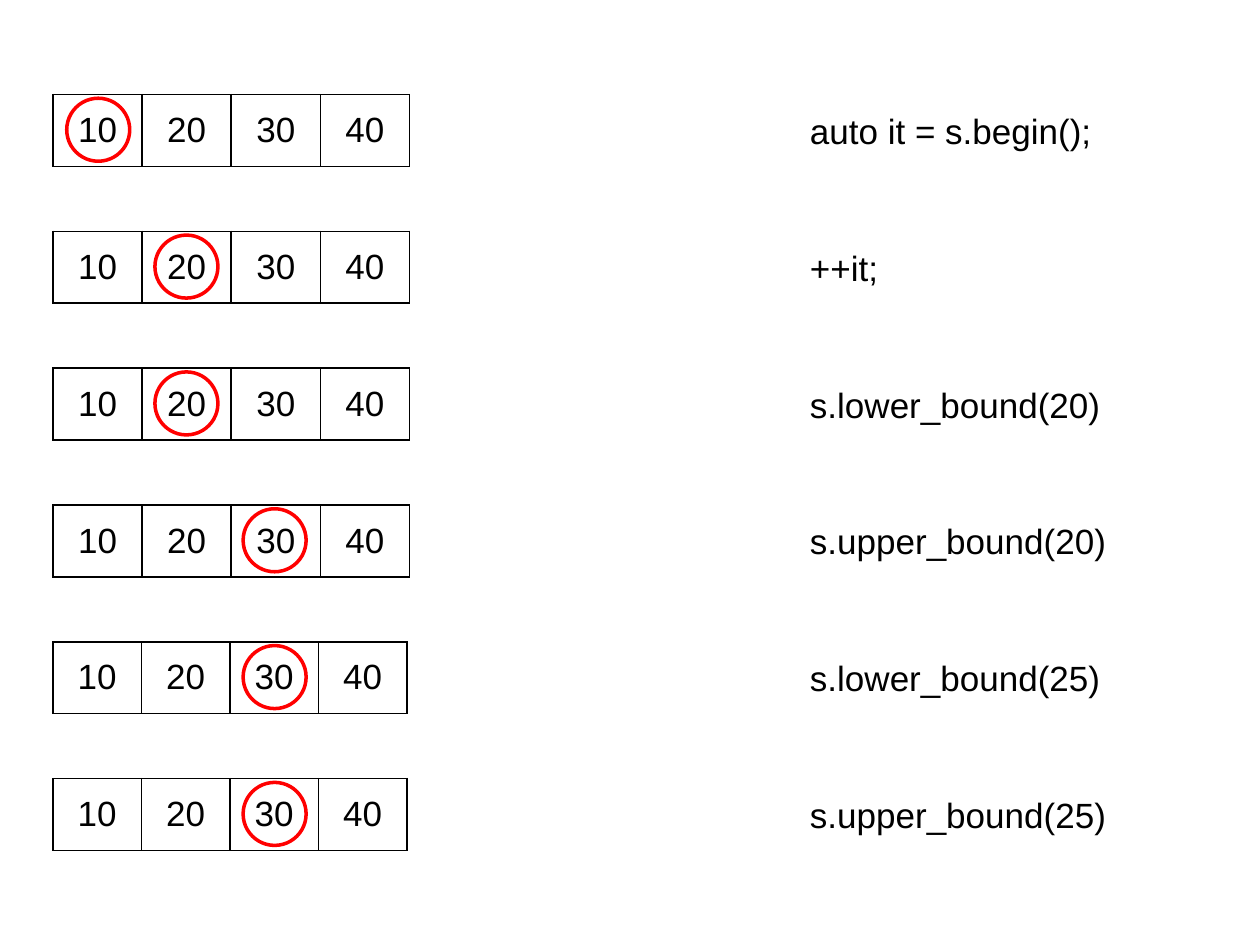
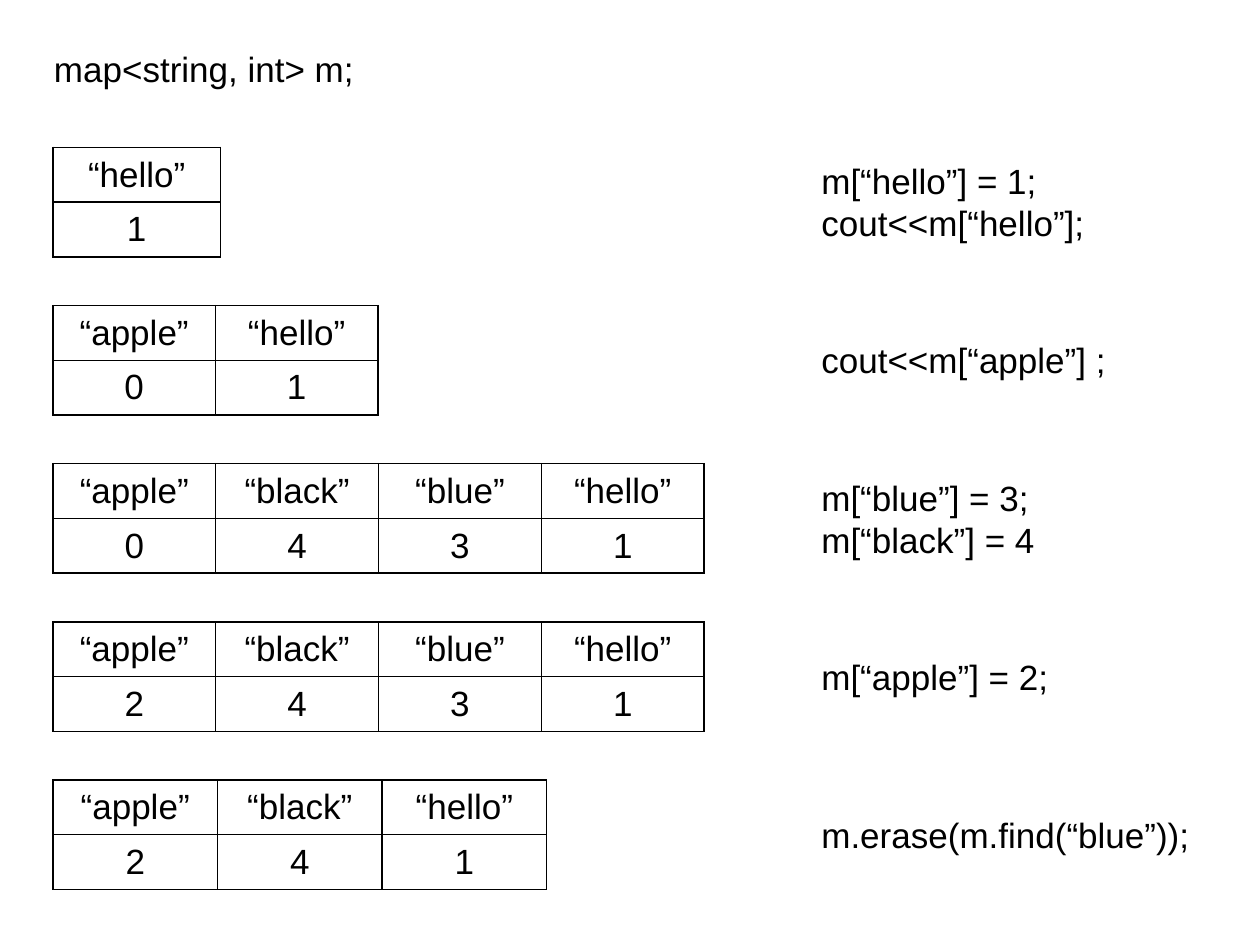
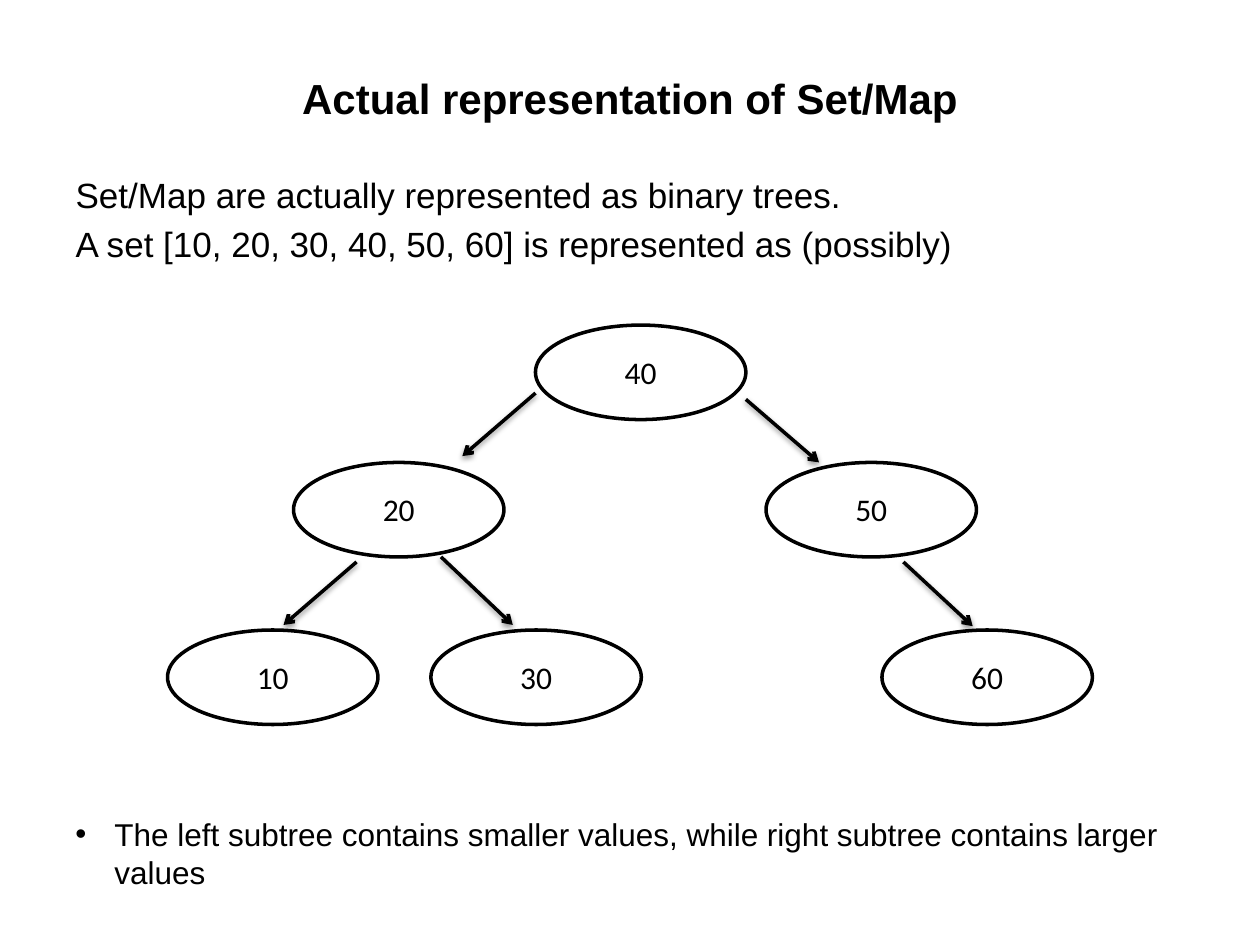
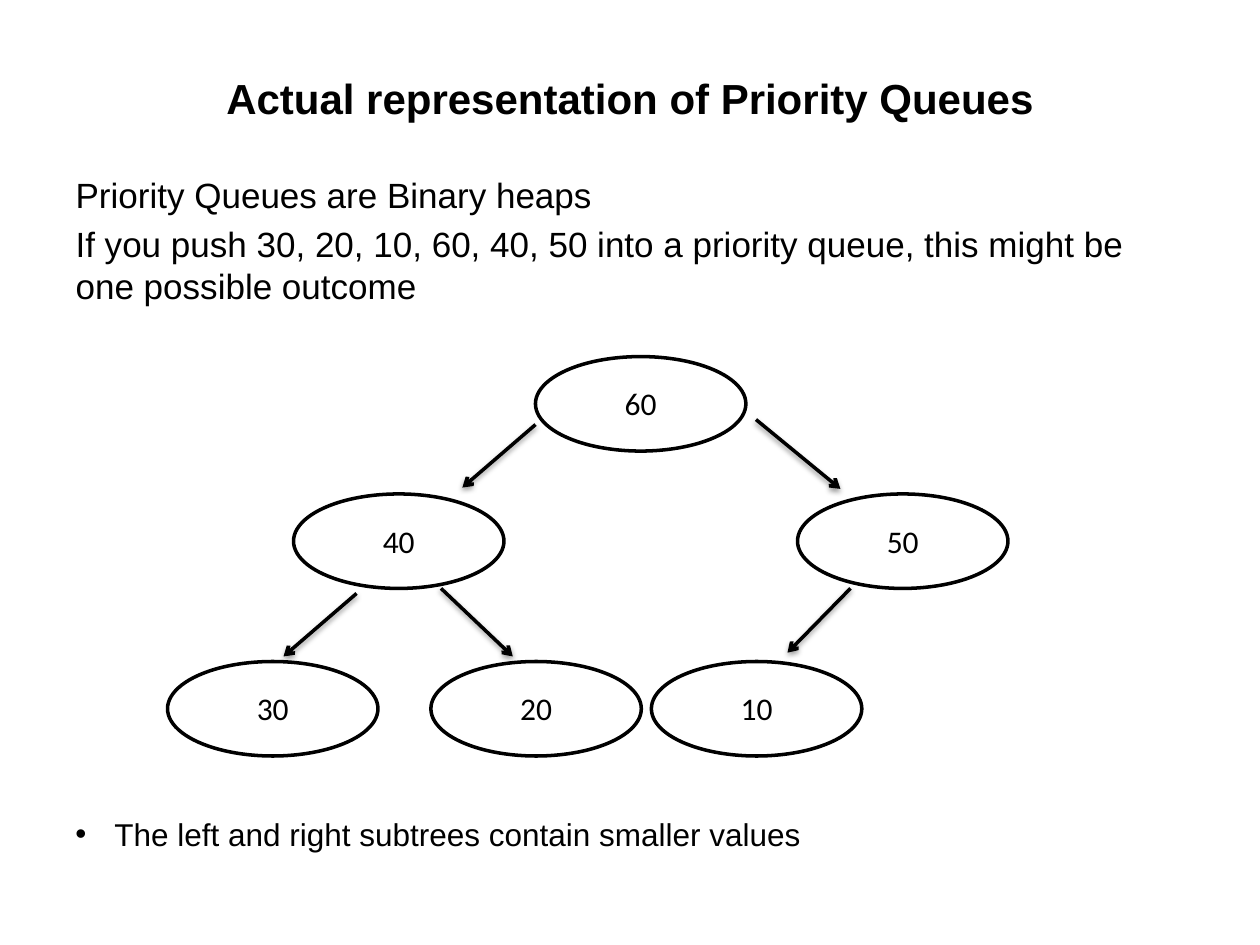
import dataclasses

import lxml.etree
import pptx
import pptx.dml.color
import pptx.enum.shapes
import pptx.enum.text
import pptx.oxml
import pptx.oxml.ns
import pptx.util

Inches = pptx.util.Inches
Pt = pptx.util.Pt
qn = pptx.oxml.ns.qn
Align = pptx.enum.text.PP_ALIGN
Shape = pptx.enum.shapes.MSO_SHAPE
XMLNS = 'xmlns:a="http://schemas.openxmlformats.org/drawingml/2006/main"'


@dataclasses.dataclass(frozen=True)
class Theme:
    ink: str = "000000"
    paper: str = "FFFFFF"
    mark: str = "FF0000"
    sans: str = "Arial"
    label: str = "Calibri"
    title: int = 24
    text: int = 20
    note: int = 18
    rule: int = 1
    line: int = 2


theme = Theme()


def color(code):
    return pptx.dml.color.RGBColor.from_string(code)


# Shared text and shape helpers
def style(frame, size, font=theme.sans, bold=False, align=None):
    for para in frame.paragraphs:
        if align is not None:
            para.alignment = align
        for run in para.runs:
            run.font.size = Pt(size)
            run.font.name = font
            run.font.bold = bold
            run.font.color.rgb = color(theme.ink)


def write(slide, text, left, top, width, height, size=theme.text, **look):
    box = slide.shapes.add_textbox(Inches(left), Inches(top), Inches(width), Inches(height))
    frame = box.text_frame
    frame.word_wrap = True
    frame.auto_size = pptx.enum.text.MSO_AUTO_SIZE.SHAPE_TO_FIT_TEXT
    frame.text = text
    style(frame, size, **look)
    return frame


def indent(para, hang, bullet=None):
    props = para._p.get_or_add_pPr()
    props.set("marL", str(Inches(hang)))
    props.set("indent", str(-Inches(hang)))
    if bullet:
        font = lxml.etree.SubElement(props, qn("a:buFont"))
        font.set("typeface", theme.sans)
        lxml.etree.SubElement(props, qn("a:buChar")).set("char", bullet)
    else:
        lxml.etree.SubElement(props, qn("a:buNone"))


def oval(slide, left, top, width, height, line):
    shape = slide.shapes.add_shape(
        Shape.OVAL, Inches(left), Inches(top), Inches(width), Inches(height))
    shape.shadow.inherit = False
    shape.fill.background()
    shape.line.color.rgb = color(line)
    shape.line.width = Pt(theme.line)


def arrow(slide, start, end):
    line = slide.shapes.add_connector(
        pptx.enum.shapes.MSO_CONNECTOR.STRAIGHT, *map(Inches, start + end))
    line.line.color.rgb = color(theme.ink)
    line.line.width = Pt(theme.line)
    props = line._element.spPr
    lxml.etree.SubElement(props.find(qn("a:ln")), qn("a:tailEnd")).set("type", "arrow")
    props.append(pptx.oxml.parse_xml(
        f'<a:effectLst {XMLNS}><a:outerShdw blurRad="{Pt(3.1)}" dist="{Pt(1.6)}" '
        f'dir="5400000" rotWithShape="0"><a:srgbClr val="{theme.ink}">'
        '<a:alpha val="38000"/></a:srgbClr></a:outerShdw></a:effectLst>'))


def border(cell):
    props = cell._tc.get_or_add_tcPr()
    for side in ("lnL", "lnR", "lnT", "lnB"):
        props.append(pptx.oxml.parse_xml(
            f'<a:{side} {XMLNS} w="{Pt(theme.rule)}"><a:solidFill>'
            f'<a:srgbClr val="{theme.ink}"/></a:solidFill></a:{side}>'))


def grid(slide, rows, left, top, width, height, fill=None):
    table = slide.shapes.add_table(
        len(rows), len(rows[0]), Inches(left), Inches(top), Inches(width), Inches(height)).table
    table.first_row = False
    table.horz_banding = False
    for r, row in enumerate(rows):
        for c, text in enumerate(row):
            cell = table.cell(r, c)
            cell.text = text
            cell.vertical_anchor = pptx.enum.text.MSO_ANCHOR.MIDDLE
            style(cell.text_frame, theme.text, align=Align.CENTER)
            border(cell)
            if fill:
                cell.fill.solid()
                cell.fill.fore_color.rgb = color(fill)
            else:
                cell.fill.background()


# One set with a ring round the current value, and its code
def ring_row(slide, left, top, width, height, pick, code):
    values = ["10", "20", "30", "40"]
    grid(slide, [values], left, top, width, height, theme.paper)
    oval(slide, left + 0.11 + 0.7 * pick, top + 0.03, 0.5, 0.5, theme.mark)
    write(slide, code, left + 5.91, top + 0.07, 3.42, 0.44)


# One map, keys over values, and its code centred on it
def map_row(slide, left, top, width, height, pairs, code):
    keys = [f"“{key}”" for key in pairs]
    grid(slide, [keys, list(pairs.values())], left, top, width, height)
    tall = 0.77 if "\n" in code else 0.44
    write(slide, code, left + 6, top + (height - tall) / 2, 3.15, tall)


# Title and lead lines in the layout's placeholders
def heading(slide, title, lines, height):
    head, body = slide.shapes.title, slide.placeholders[1]
    for shape, top, tall in ((head, 0.3, 0.95), (body, 1.33, height)):
        shape.left, shape.top = Inches(0.5), Inches(top)
        shape.width, shape.height = Inches(9), Inches(tall)
    head.text_frame.text = title
    style(head.text_frame, theme.title, bold=True, align=Align.CENTER)
    body.text_frame.text = "\n".join(lines)
    style(body.text_frame, theme.text)
    for para in body.text_frame.paragraphs:
        indent(para, 0)


# Tree of labelled ovals; all places are offsets from its top left
def tree(slide, left, top, nodes, links):
    for x, y, text in nodes:
        oval(slide, left + x, top + y, 1.67, 0.75, theme.ink)
        write(slide, text, left + x + 0.5, top + y + 0.17, 0.67, 0.4, theme.note,
              font=theme.label, align=Align.CENTER)
    for x1, y1, x2, y2 in links:
        arrow(slide, (left + x1, top + y1), (left + x2, top + y2))


def note(slide, text, height):
    frame = write(slide, text, 0.5, 6.42, 9.08, height, theme.note)
    indent(frame.paragraphs[0], 0.31, "•")


deck = pptx.Presentation()
deck.slide_width, deck.slide_height = Inches(10), Inches(7.5)
BLANK, LIST = deck.slide_layouts[6], deck.slide_layouts[1]

# Slide 1: steps through a set
slide = deck.slides.add_slide(BLANK)
STEPS = [
    (2.83, 0, "auto it = s.begin();"),
    (2.83, 1, "++it;"),
    (2.83, 1, "s.lower_bound(20)"),
    (2.83, 2, "s.upper_bound(20)"),
    (2.81, 2, "s.lower_bound(25)"),
    (2.81, 2, "s.upper_bound(25)"),
]
pitch = (6.18 - 0.75) / (len(STEPS) - 1)
for i, (width, pick, code) in enumerate(STEPS):
    ring_row(slide, 0.42, 0.75 + i * pitch, width, 0.57, pick, code)

# Slide 2: a map as it changes
slide = deck.slides.add_slide(BLANK)
write(slide, "map<string, int> m;", 0.33, 0.33, 3.67, 0.44)
STATES = [
    (1.33, {"hello": "1"}, "m[“hello”] = 1;\ncout<<m[“hello”];"),
    (2.58, {"apple": "0", "hello": "1"}, "cout<<m[“apple”] ;"),
    (5.17, {"apple": "0", "black": "4", "blue": "3", "hello": "1"},
     "m[“blue”] = 3;\nm[“black”] = 4"),
    (5.17, {"apple": "2", "black": "4", "blue": "3", "hello": "1"}, "m[“apple”] = 2;"),
    (3.92, {"apple": "2", "black": "4", "hello": "1"}, "m.erase(m.find(“blue”));"),
]
pitch = (6.19 - 1.17) / (len(STATES) - 1)
for i, (width, pairs, code) in enumerate(STATES):
    map_row(slide, 0.42, 1.17 + i * pitch, width, 0.87, pairs, code)

# Both trees share their root and left half
MID, LOW = 1.09, 2.42
SPOTS = [(2.92, 0), (1, MID), (0, LOW), (2.09, LOW)]
LINKS = [(2.92, 0.54, 2.34, 1.04), (1.5, 1.88, 0.92, 2.38), (2.17, 1.84, 2.74, 2.38)]


def tree_slide(title, lines, tall, top, names, spots, links, text, deep):
    slide = deck.slides.add_slide(LIST)
    heading(slide, title, lines, tall)
    nodes = [(x, y, name) for (x, y), name in zip(SPOTS + spots, names)]
    tree(slide, 1.33, top, nodes, LINKS + links)
    note(slide, text, deep)


# Slide 3: search tree
tree_slide(
    "Actual representation of Set/Map",
    ["Set/Map are actually represented as binary trees.",
     "A set [10, 20, 30, 40, 50, 60] is represented as (possibly)"],
    1.08, 2.58, ["40", "20", "10", "30", "50", "60"],
    [(4.75, MID), (5.67, LOW)],
    [(4.59, 0.59, 5.17, 1.09), (5.84, 1.88, 6.39, 2.39)],
    "The left subtree contains smaller values, while right subtree contains larger values",
    0.71)

# Slide 4: heap
tree_slide(
    "Actual representation of Priority Queues",
    ["Priority Queues are Binary heaps",
     "If you push 30, 20, 10, 60, 40, 50 into a priority queue, "
     "this might be one possible outcome"],
    1.33, 2.83, ["60", "40", "30", "20", "50", "10"],
    [(5, MID), (3.84, LOW)],
    [(4.67, 0.5, 5.34, 1.05), (5.42, 1.84, 4.92, 2.35)],
    "The left and right subtrees contain smaller values", 0.4)

deck.save("out.pptx")
